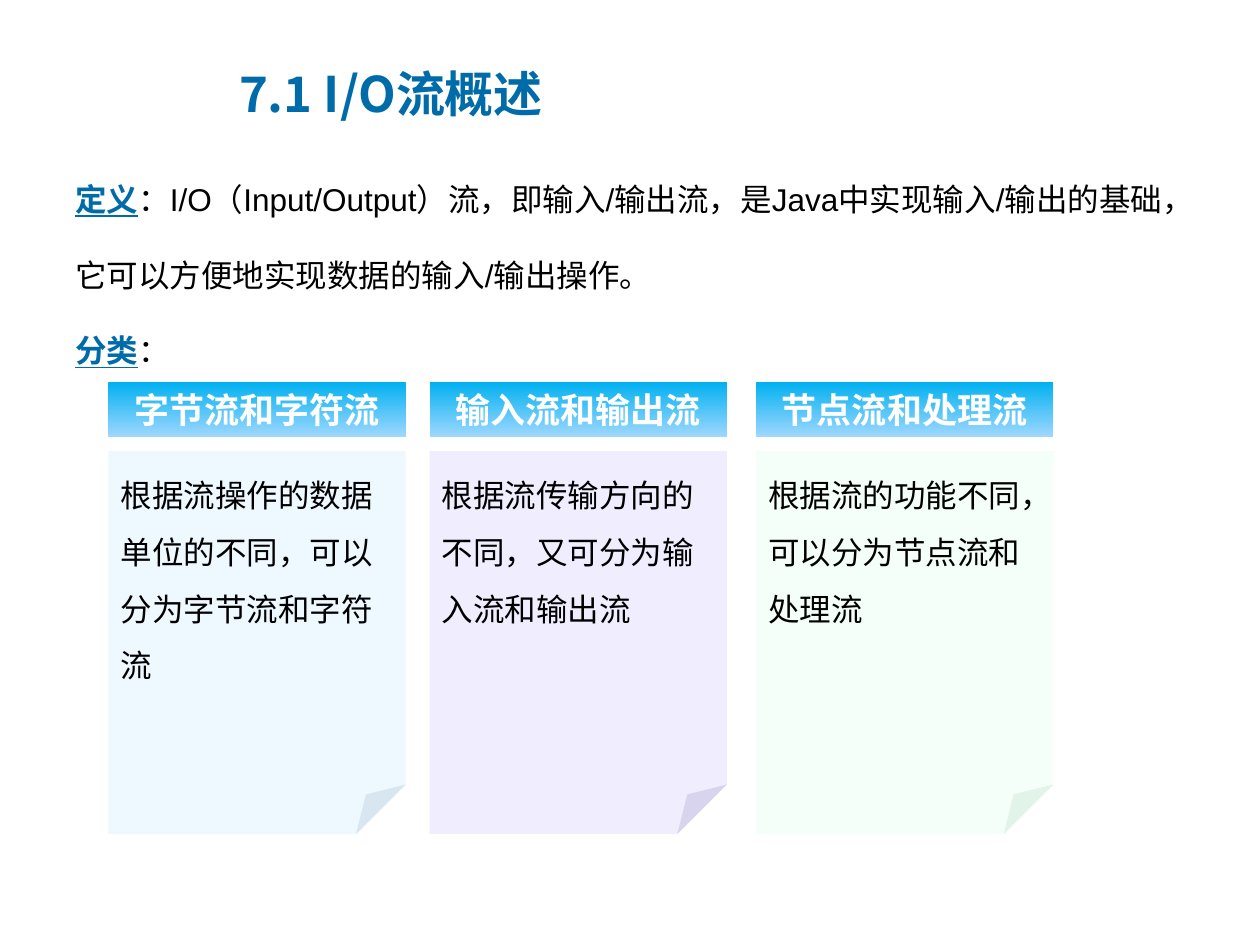
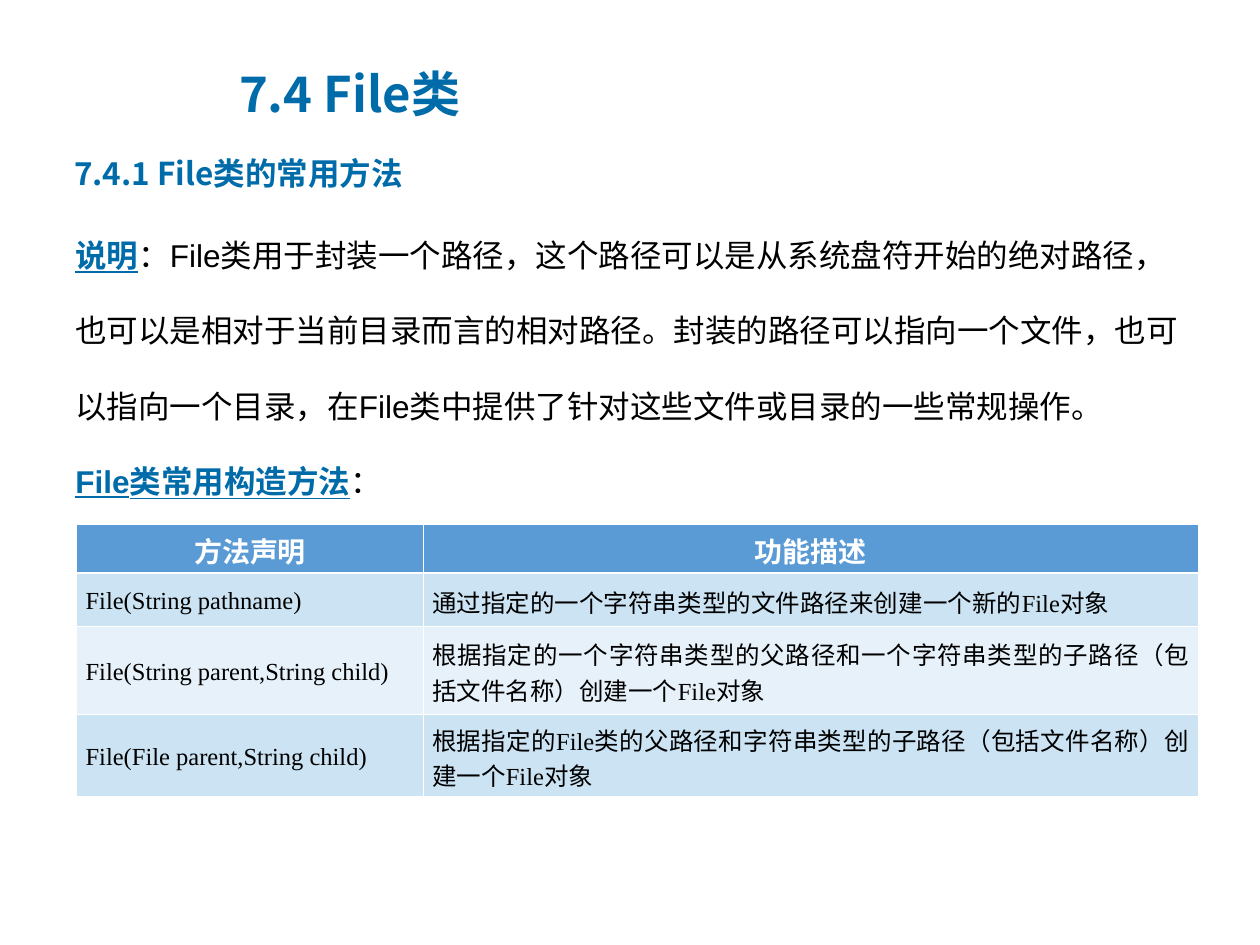
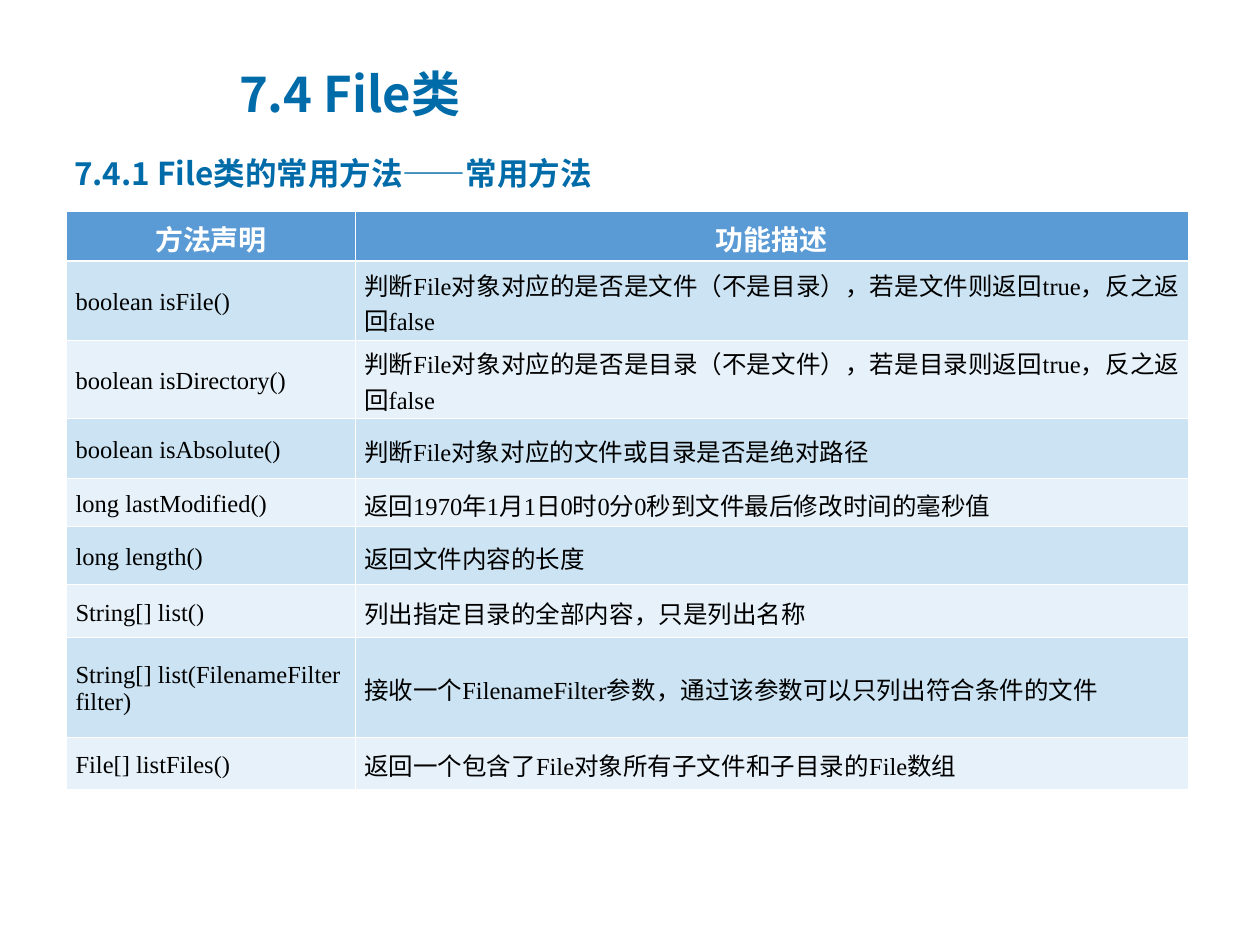
"""Build three slides on Java I/O streams and the File class."""
import pptx
import pptx.dml.color
import pptx.enum.shapes
import pptx.enum.text
import pptx.oxml
import pptx.oxml.ns
import pptx.util
from lxml import etree

Inches = pptx.util.Inches
Pt = pptx.util.Pt
ALIGN = pptx.enum.text.PP_ALIGN
ANCHOR = pptx.enum.text.MSO_ANCHOR
SHAPE = pptx.enum.shapes.MSO_SHAPE

CJK = "Noto Sans CJK SC"
BLUE, BLACK, WHITE = "006BA9", "000000", "FFFFFF"
HEADER_FILL, BAND_FILLS = "5B9BD5", ("CBE3F2", "E7F1F9")
CARD_GRADIENT = ("00B0F0", "9FD8FF")

STREAM_TITLE = "7.1 I/O流概述"
STREAM_TEXT = [
    ("定义", "：I/O（Input/Output）流，即输入/输出流，是Java中实现输入/输出的基础，它可以方便地实现数据的输入/输出操作。"),
    ("分类", "："),
]
STREAM_CARDS = [
    (0.86, "字节流和字符流", "根据流操作的数据单位的不同，可以分为字节流和字符流", "C5E8FF", 28),
    (3.41, "输入流和输出流", "根据流传输方向的不同，又可分为输入流和输出流", "D1C7FD", 31),
    (6.0, "节点流和处理流", "根据流的功能不同，可以分为节点流和处理流", "CDFFE4", 22),
]

FILE_TITLE = "7.4 File类"
FILE_SUBTITLE = "7.4.1 File类的常用方法"
FILE_TEXT = [
    ("说明", "：File类用于封装一个路径，这个路径可以是从系统盘符开始的绝对路径，也可以是相对于当前目录而言的相对路径。"
             "封装的路径可以指向一个文件，也可以指向一个目录，在File类中提供了针对这些文件或目录的一些常规操作。"),
    ("File类常用构造方法", "："),
]
TABLE_HEADER = (0.39, "方法声明", "功能描述")
CONSTRUCTORS = [
    (0.42, "File(String pathname)", "通过指定的一个字符串类型的文件路径来创建一个新的File对象"),
    (0.7, "File(String parent,String child)",
     "根据指定的一个字符串类型的父路径和一个字符串类型的子路径（包括文件名称）创建一个File对象"),
    (0.65, "File(File parent,String child)",
     "根据指定的File类的父路径和字符串类型的子路径（包括文件名称）创建一个File对象"),
]
METHODS = [
    (0.63, "boolean isFile()", "判断File对象对应的是否是文件（不是目录），若是文件则返回true，反之返回false"),
    (0.62, "boolean isDirectory()", "判断File对象对应的是否是目录（不是文件），若是目录则返回true，反之返回false"),
    (0.48, "boolean isAbsolute()", "判断File对象对应的文件或目录是否是绝对路径"),
    (0.38, "long lastModified()", "返回1970年1月1日0时0分0秒到文件最后修改时间的毫秒值"),
    (0.46, "long length()", "返回文件内容的长度"),
    (0.42, "String[] list()", "列出指定目录的全部内容，只是列出名称"),
    (0.79, "String[] list(FilenameFilter filter)", "接收一个FilenameFilter参数，通过该参数可以只列出符合条件的文件"),
    (0.42, "File[] listFiles()", "返回一个包含了File对象所有子文件和子目录的File数组"),
]


def rgb(color):
    return pptx.dml.color.RGBColor.from_string(color)


def set_font(font, size, name, color, bold=False, underline=False):
    font.size, font.name, font.bold, font.underline = Pt(size), name, bold, underline
    font.color.rgb = rgb(color)
    latin = font._rPr.find(pptx.oxml.ns.qn("a:latin"))
    east_asian = etree.Element(pptx.oxml.ns.qn("a:ea"), typeface=CJK)
    latin.addnext(east_asian)


def write(frame, text, size, name, color, bold=False, align=ALIGN.LEFT, spacing=1.0, anchor=ANCHOR.TOP):
    frame.word_wrap = True
    frame.vertical_anchor = anchor
    paragraph = frame.paragraphs[0]
    paragraph.text, paragraph.alignment, paragraph.line_spacing = text, align, spacing
    set_font(paragraph.font, size, name, color, bold)


def add_text_frame(slide, left, top, width, height):
    return slide.shapes.add_textbox(*map(Inches, (left, top, width, height))).text_frame


def add_slide(presentation, title, subtitle=None):
    slide = presentation.slides.add_slide(presentation.slide_layouts[6])
    write(add_text_frame(slide, 1.8, 0.43, 5.83, 0.61), title, 28, CJK, BLUE, True, anchor=ANCHOR.MIDDLE)
    if subtitle:
        write(add_text_frame(slide, 0.49, 1.17, 9, 0.71), subtitle, 18, CJK, BLUE, True)
    return slide


def add_labelled_text(slide, top, height, entries):
    frame = add_text_frame(slide, 0.5, top, 9, height)
    frame.word_wrap = True
    for index, (label, text) in enumerate(entries):
        paragraph = frame.add_paragraph() if index else frame.paragraphs[0]
        paragraph.line_spacing = 2.0
        for content, color, marked in ((label, BLUE, True), (text, BLACK, False)):
            run = paragraph.add_run()
            run.text = content
            set_font(run.font, 18, "Arial", color, marked, marked)


def add_card_part(slide, kind, left, top, height):
    shape = slide.shapes.add_shape(kind, Inches(left), Inches(top), Inches(2.36), Inches(height))
    shape.shadow.inherit = False
    shape.line.fill.background()
    return shape


def add_card(slide, left, heading, text, color, opacity):
    header = add_card_part(slide, SHAPE.RECTANGLE, left, 3.03, 0.44)
    header.fill.gradient()
    header.fill.gradient_angle = 270
    for stop, stop_color in zip(header.fill.gradient_stops, CARD_GRADIENT):
        stop.color.rgb = rgb(stop_color)
    write(header.text_frame, heading, 20, CJK, WHITE, True, ALIGN.CENTER, anchor=ANCHOR.MIDDLE)

    note = add_card_part(slide, SHAPE.FOLDED_CORNER, left, 3.58, 3.04)
    note.fill.solid()
    note.fill.fore_color.rgb = rgb(color)
    solid = note._element.spPr.find(pptx.oxml.ns.qn("a:solidFill"))
    etree.SubElement(solid[0], pptx.oxml.ns.qn("a:alpha"), val=str(opacity * 1000))
    write(note.text_frame, text, 18, "Calibri", BLACK, spacing=1.5)


def set_borders(cell, top, bottom):
    properties = cell._tc.get_or_add_tcPr()
    for side, width in (("L", 0.45), ("R", 0.45), ("T", top), ("B", bottom)):
        line = etree.SubElement(properties, pptx.oxml.ns.qn(f"a:ln{side}"), w=str(int(Pt(width))))
        solid = etree.SubElement(line, pptx.oxml.ns.qn("a:solidFill"))
        etree.SubElement(solid, pptx.oxml.ns.qn("a:srgbClr"), val=WHITE)


def add_method_table(slide, left, top, widths, methods):
    rows = [TABLE_HEADER] + methods
    height = sum(row[0] for row in rows)
    table = slide.shapes.add_table(
        len(rows), 2, Inches(left), Inches(top), Inches(sum(widths)), Inches(height)).table
    for column, width in zip(table.columns, widths):
        column.width = Inches(width)
    for row_index, (row_height, *texts) in enumerate(rows):
        table.rows[row_index].height = Inches(row_height)
        for column_index, text in enumerate(texts):
            cell = table.cell(row_index, column_index)
            set_borders(cell, 1.47 if row_index == 1 else 0.45, 1.47 if row_index == 0 else 0.45)
            cell.fill.solid()
            cell.fill.fore_color.rgb = rgb(BAND_FILLS[(row_index - 1) % 2] if row_index else HEADER_FILL)
            cell.vertical_anchor = ANCHOR.MIDDLE
            cell.margin_left = cell.margin_right = Inches(0.07)
            cell.margin_top, cell.margin_bottom = Inches(0.04), Inches(0.01)
            paragraph = cell.text_frame.paragraphs[0]
            paragraph.text = text
            if row_index == 0:
                paragraph.alignment = ALIGN.CENTER
                set_font(paragraph.font, 16, "Calibri", WHITE, True)
            else:
                paragraph.alignment = ALIGN.JUSTIFY if column_index else ALIGN.LEFT
                set_font(paragraph.font, 14, "Times New Roman", BLACK)


def main():
    presentation = pptx.Presentation()
    presentation.slide_width, presentation.slide_height = Inches(10), Inches(7.5)

    slide = add_slide(presentation, STREAM_TITLE)
    add_labelled_text(slide, 1.08, 2.53, STREAM_TEXT)
    for card in STREAM_CARDS:
        add_card(slide, *card)

    slide = add_slide(presentation, FILE_TITLE, FILE_SUBTITLE)
    add_labelled_text(slide, 1.52, 5.55, FILE_TEXT)
    add_method_table(slide, 0.61, 4.16, (2.75, 6.15), CONSTRUCTORS)

    slide = add_slide(presentation, FILE_TITLE, FILE_SUBTITLE + "——常用方法")
    add_method_table(slide, 0.53, 1.68, (2.29, 6.61), METHODS)

    presentation.save("out.pptx")


if __name__ == "__main__":
    main()
